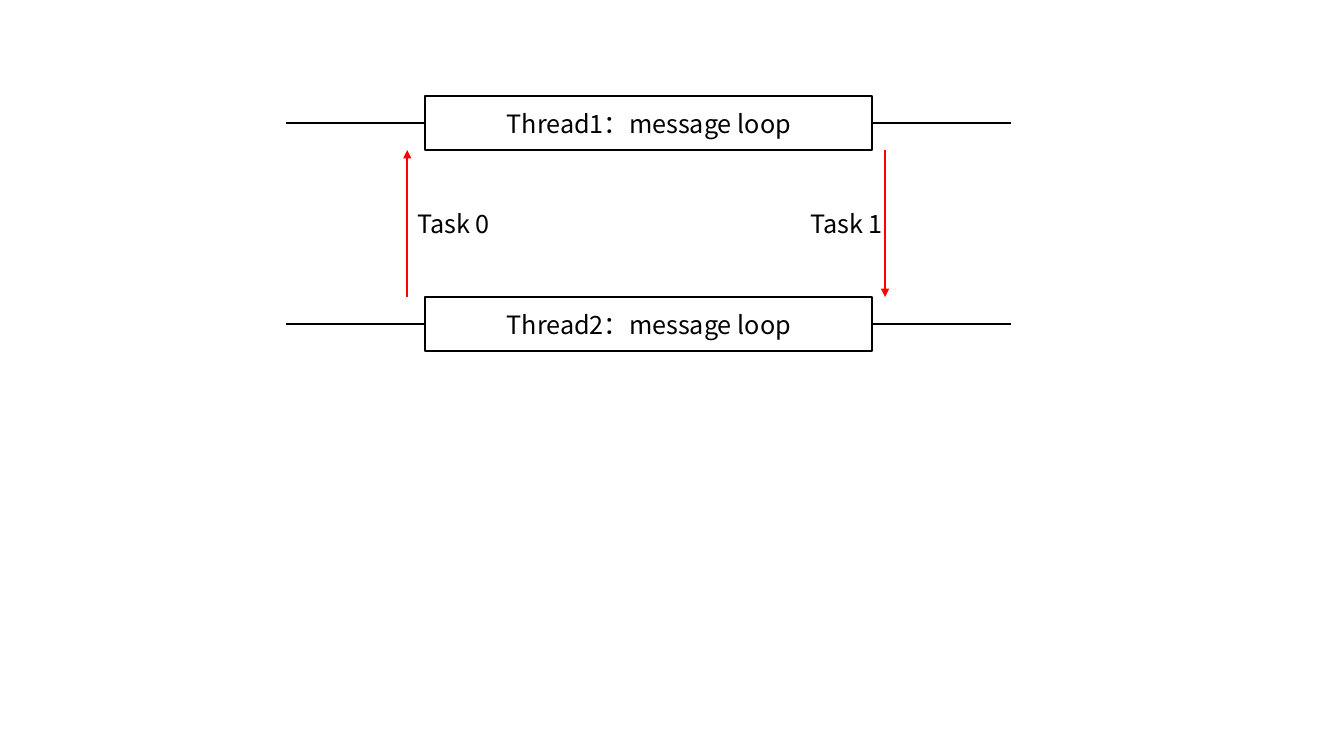
from pptx import Presentation
from pptx.dml.color import RGBColor
from pptx.enum.shapes import MSO_CONNECTOR, MSO_SHAPE
from pptx.enum.text import MSO_ANCHOR, MSO_AUTO_SIZE, PP_ALIGN
from pptx.oxml.ns import qn
from pptx.util import Pt
from lxml import etree

theme = {
    "font": "Noto Sans CJK SC",
    "size": Pt(18),
    "line": Pt(1.5),
    "ink": RGBColor(0, 0, 0),
    "paper": RGBColor(255, 255, 255),
    "task": RGBColor(255, 0, 0),
}

prs = Presentation()
prs.slide_width, prs.slide_height = Pt(960), Pt(540)
slide = prs.slides.add_slide(prs.slide_layouts[6])
diagram = slide.shapes.add_group_shape().shapes


def add_line(x1, y1, x2, y2, color, arrow=False):
    ends = [Pt(v) for v in (x1, y1, x2, y2)]
    sp = diagram.add_connector(MSO_CONNECTOR.STRAIGHT, *ends)
    sp.line.width = theme["line"]
    sp.line.color.rgb = color
    if arrow:
        ln = sp.line._get_or_add_ln()
        etree.SubElement(ln, qn("a:tailEnd"), type="triangle")
    etree.SubElement(sp._element.spPr, qn("a:effectLst"))


def set_text(sp, text, align, frame_format):
    tf = sp.text_frame
    for name, value in frame_format.items():
        setattr(tf, name, value)
    p = tf.paragraphs[0]
    p.alignment = align
    r = p.add_run()
    r.text = text
    for name, value in {"name": theme["font"], "size": theme["size"]}.items():
        setattr(r.font, name, value)
    r.font.color.rgb = theme["ink"]
    etree.SubElement(r.font._element, qn("a:ea"), typeface=theme["font"])


# Threads: a timeline with a message loop box on it
box_left, box_width, box_height = 303.7, 319.5, 38.4
box_tops = [68.8, 212.2]
for number, top in enumerate(box_tops, 1):
    middle = top + box_height / 2
    add_line(204.5, middle, 722.2, middle, theme["ink"])
    sp = diagram.add_shape(MSO_SHAPE.RECTANGLE, Pt(box_left), Pt(top),
                           Pt(box_width), Pt(box_height))
    sp.shadow.inherit = False
    sp.fill.solid()
    sp.fill.fore_color.rgb = theme["paper"]
    sp.line.color.rgb = theme["ink"]
    sp.line.width = theme["line"]
    set_text(sp, f"Thread{number}\uff1amessage loop", PP_ALIGN.CENTER,
             {"vertical_anchor": MSO_ANCHOR.MIDDLE, "word_wrap": True})

# Tasks: arrows between the facing box edges, with labels
upper, lower = box_tops[0] + box_height, box_tops[1]
tasks = [
    ("Task 0", 290.9, lower, upper, 290.9),
    ("Task 1", 632.2, upper, lower, 571.7),
]
for label, x, start, end, label_left in tasks:
    add_line(x, start, x, end, theme["task"], arrow=True)
    sp = diagram.add_textbox(Pt(label_left), Pt(145.4), Pt(66.2), Pt(29))
    set_text(sp, label, PP_ALIGN.LEFT,
             {"word_wrap": False, "auto_size": MSO_AUTO_SIZE.SHAPE_TO_FIT_TEXT})

prs.save("out.pptx")
